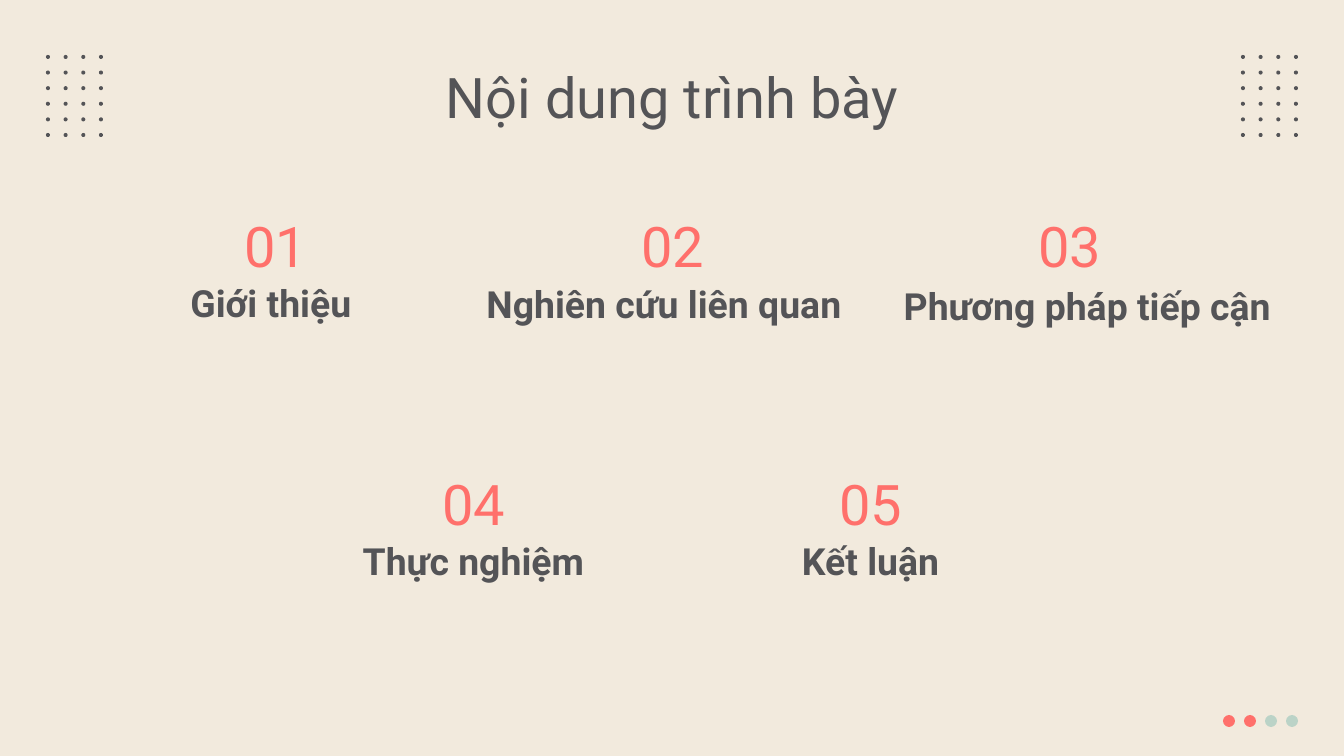
import pptx
import pptx.dml.color
import pptx.enum.shapes
import pptx.enum.text
import pptx.util

COLORS = {"paper": "F2EADD", "ink": "545457", "coral": "FF706B", "mint": "BBD3C7"}
FONT = "Roboto"
EMU_PER_PX = 914400 / 134.4
ANCHOR = pptx.enum.text.MSO_ANCHOR


def px(length):
    return pptx.util.Emu(round(length * EMU_PER_PX))


def rgb(name):
    return pptx.dml.color.RGBColor.from_string(COLORS[name])


class Deck:
    def __init__(self, width, height):
        self.prs = pptx.Presentation()
        self.prs.slide_width, self.prs.slide_height = px(width), px(height)
        self.slide = None

    def new_slide(self, background):
        self.slide = self.prs.slides.add_slide(self.prs.slide_layouts[6])
        fill = self.slide.background.fill
        fill.solid()
        fill.fore_color.rgb = rgb(background)

    def dot(self, left, top, size, color):
        oval = self.slide.shapes.add_shape(
            pptx.enum.shapes.MSO_SHAPE.OVAL, px(left), px(top), px(size), px(size))
        oval.shadow.inherit = False
        oval.fill.solid()
        oval.fill.fore_color.rgb = rgb(color)
        oval.line.fill.background()

    def dot_grid(self, left, top, width, height, cols, rows):
        for row in range(rows):
            for col in range(cols):
                self.dot(left + col * width / (cols - 1),
                         top + row * height / (rows - 1), 4, "ink")

    def text(self, words, box, size, color, bold=False,
             anchor=ANCHOR.MIDDLE, insets=(13, 9, 13, 13)):
        frame = self.slide.shapes.add_textbox(*map(px, box)).text_frame
        frame.word_wrap = True
        frame.vertical_anchor = anchor
        (frame.margin_left, frame.margin_top,
         frame.margin_right, frame.margin_bottom) = map(px, insets)
        frame.text = words
        paragraph = frame.paragraphs[0]
        paragraph.alignment = pptx.enum.text.PP_ALIGN.CENTER
        font = paragraph.runs[0].font
        font.name, font.size, font.bold = FONT, pptx.util.Pt(size), bold
        font.color.rgb = rgb(color)


def main():
    deck = Deck(1344, 756)
    deck.new_slide("paper")

    # Corner dot patterns
    for left in (46, 1241):
        deck.dot_grid(left, 55, 53, 78, cols=4, rows=6)

    # Heading
    deck.text("Nội dung trình bày", (106, 54, 1133, 85), 30, "ink", anchor=ANCHOR.TOP)

    # Agenda: number left and top, then topic, its left, top and width
    agenda = [
        (106, 198, "Giới thiệu ", 106, 269, 339),
        (503, 198, "Nghiên cứu liên quan", 472, 270, 384),
        (900, 198, "Phương pháp tiếp cận ", 898, 272, 388),
        (304, 456, "Thực nghiệm", 304, 527, 339),
        (701, 456, "Kết luận", 701, 527, 339),
    ]
    for order, (left, top, topic, topic_left, topic_top, width) in enumerate(agenda, 1):
        deck.text(f"{order:02}", (left, top, 339, 98), 30, "coral")
        deck.text(topic, (topic_left, topic_top, width, 67), 20, "ink",
                  bold=True, insets=(0, 0, 0, 0))

    # Progress dots
    for step, color in enumerate(("coral", "coral", "mint", "mint")):
        deck.dot(1223 + 21 * step, 715, 12, color)

    deck.prs.save("out.pptx")


if __name__ == "__main__":
    main()
